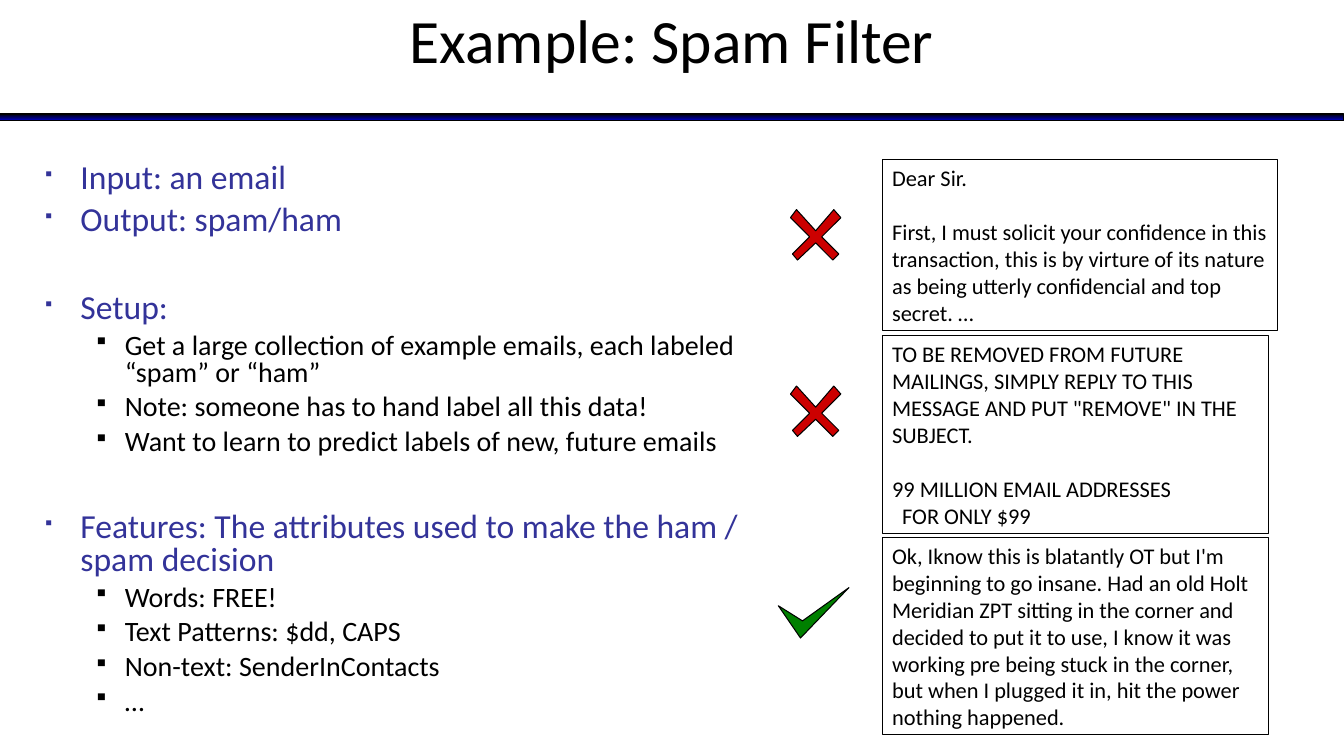
from lxml import etree
from pptx import Presentation
from pptx.dml.color import RGBColor
from pptx.enum.shapes import MSO_SHAPE
from pptx.enum.text import MSO_ANCHOR, MSO_AUTO_SIZE, PP_ALIGN
from pptx.oxml.ns import qn
from pptx.util import Inches, Pt

RECT = MSO_SHAPE.RECTANGLE
TOP = MSO_ANCHOR.TOP
GROW = MSO_AUTO_SIZE.SHAPE_TO_FIT_TEXT
FIXED = MSO_AUTO_SIZE.NONE
LEFT, CENTER = PP_ALIGN.LEFT, PP_ALIGN.CENTER

BLACK = RGBColor(0x00, 0x00, 0x00)
BLUE = RGBColor(0x00, 0x00, 0xCC)
INDIGO = RGBColor(0x33, 0x33, 0x99)
RED = RGBColor(0xCC, 0x00, 0x00)
GREEN = RGBColor(0x00, 0x80, 0x00)

FONT = "Calibri"
GAP = 40
LINE = 19.5

# level: indent, hang, text size, space before, bullet percent, colour
LEVELS = [
    (0.37, 0.37, 24, 6.4, 45, INDIGO),
    (0.81, 0.31, 20, 5.6, 75, BLACK),
]
POINTS = [
    (0, "Input: an email", 0),
    (0, "Output: spam/ham", None),
    (0, "Setup:", GAP),
    (1, "Get a large collection of example emails, each labeled “spam” or “ham”", None),
    (1, "Note: someone has to hand label all this data!", None),
    (1, "Want to learn to predict labels of new, future emails", None),
    (0, "Features: The attributes used to make the ham / spam decision", GAP),
    (1, "Words: FREE!", None),
    (1, "Text Patterns: $dd, CAPS", None),
    (1, "Non-text: SenderInContacts", None),
    (1, "…", None),
]
# mail: top, width, height, paragraphs of (text, space before, indent)
MAILS = [
    (1.58, 3.92, 1.7, [
        ("Dear Sir.", 0, 0),
        ("First, I must solicit your confidence in this transaction, this is by "
         "virture of its nature as being utterly confidencial and top secret. …", LINE, 0),
    ]),
    (3.33, 3.83, 1.96, [
        ("TO BE REMOVED FROM FUTURE MAILINGS, SIMPLY REPLY TO THIS MESSAGE AND "
         "PUT \"REMOVE\" IN THE SUBJECT.", 0, 0),
        ("99 MILLION EMAIL ADDRESSES", LINE, 0),
        ("FOR ONLY $99", 0, 0.1),
    ]),
    (5.33, 3.83, 1.96, [
        ("Ok, Iknow this is blatantly OT but I'm beginning to go insane. Had an old "
         "Holt Meridian ZPT sitting in the corner and decided to put it to use, I "
         "know it was working pre being stuck in the corner, but when I plugged it "
         "in, hit the power nothing happened.", 0, 0),
    ]),
]
CROSS = [(0, 0.08), (0.19, 0.27), (0.02, 0.44), (0.07, 0.5), (0.25, 0.33),
         (0.42, 0.5), (0.48, 0.44), (0.31, 0.27), (0.5, 0.08), (0.43, 0),
         (0.25, 0.21), (0.06, 0)]
CHECK = [(0.22, 0.5), (0.7, 0), (0.24, 0.33), (0, 0.18)]


def add_run(para, text, size, color):
    run = para.add_run()
    run.text = text
    run.font.name = FONT
    run.font.size = Pt(size)
    run.font.color.rgb = color


def set_line(shape):
    shape.shadow.inherit = False
    shape.line.color.rgb = BLACK
    shape.line.width = Pt(0.75)


def set_indent(para, left, hang=0):
    props = para._p.get_or_add_pPr()
    props.set("marL", str(Inches(left)))
    props.set("indent", str(-Inches(hang)))
    return props


def add_bullet(props, color, percent):
    tint = etree.SubElement(props, qn("a:buClr"))
    etree.SubElement(tint, qn("a:srgbClr")).set("val", str(color))
    etree.SubElement(props, qn("a:buSzPct")).set("val", str(percent * 1000))
    etree.SubElement(props, qn("a:buChar")).set("char", "▪")


def paras(frame, items):
    for i, item in enumerate(items):
        yield (frame.add_paragraph() if i else frame.paragraphs[0]), item


def add_title(slide, text):
    title = slide.shapes.title
    title.left, title.top = Inches(0), Inches(-0.03)
    title.width, title.height = Inches(13.33), Inches(1.25)
    frame = title.text_frame
    frame.vertical_anchor = TOP
    frame.auto_size = FIXED
    para = frame.paragraphs[0]
    para.alignment = CENTER
    add_run(para, text, 44, BLACK)


def add_bar(slide):
    bar = slide.shapes.add_shape(RECT, Inches(0), Inches(1.13), Inches(13.33), Inches(0.07))
    set_line(bar)
    bar.fill.gradient()
    bar.fill.gradient_angle = 90
    for stop, color, place in zip(bar.fill.gradient_stops, (BLUE, BLACK), (0, 1)):
        stop.color.rgb = color
        stop.position = place


def add_list(slide):
    box = slide.shapes.add_textbox(Inches(0.33), Inches(1.58), Inches(7.17), Inches(5.5))
    frame = box.text_frame
    frame.word_wrap = True
    for para, (level, text, space) in paras(frame, POINTS):
        left, hang, size, before, percent, color = LEVELS[level]
        para.level = level
        add_bullet(set_indent(para, left, hang), color, percent)
        para.line_spacing = 0.8
        para.space_before = Pt(before if space is None else space)
        add_run(para, text, size, color)


def add_mail(slide, top, width, height, texts):
    box = slide.shapes.add_shape(RECT, Inches(8.75), Inches(top), Inches(width), Inches(height))
    set_line(box)
    box.fill.background()
    frame = box.text_frame
    frame.word_wrap = True
    frame.auto_size = GROW
    frame.vertical_anchor = TOP
    for para, (text, space, left) in paras(frame, texts):
        set_indent(para, left)
        para.alignment = LEFT
        para.space_before = Pt(space)
        add_run(para, text, 16, BLACK)


def add_mark(slide, left, top, outline, color):
    spots = [(Inches(left + x), Inches(top + y)) for x, y in outline]
    pen = slide.shapes.build_freeform(*spots[0])
    pen.add_line_segments(spots[1:], close=True)
    mark = pen.convert_to_shape()
    set_line(mark)
    mark.fill.solid()
    mark.fill.fore_color.rgb = color


def main():
    deck = Presentation()
    deck.slide_width, deck.slide_height = Inches(13.33), Inches(7.5)
    slide = deck.slides.add_slide(deck.slide_layouts[5])
    add_bar(slide)
    add_title(slide, "Example: Spam Filter")
    add_list(slide)
    for mail in MAILS:
        add_mail(slide, *mail)
    add_mark(slide, 7.72, 5.83, CHECK, GREEN)
    for top in (2.08, 3.83):
        add_mark(slide, 7.84, top, CROSS, RED)
    deck.save("out.pptx")


if __name__ == "__main__":
    main()
